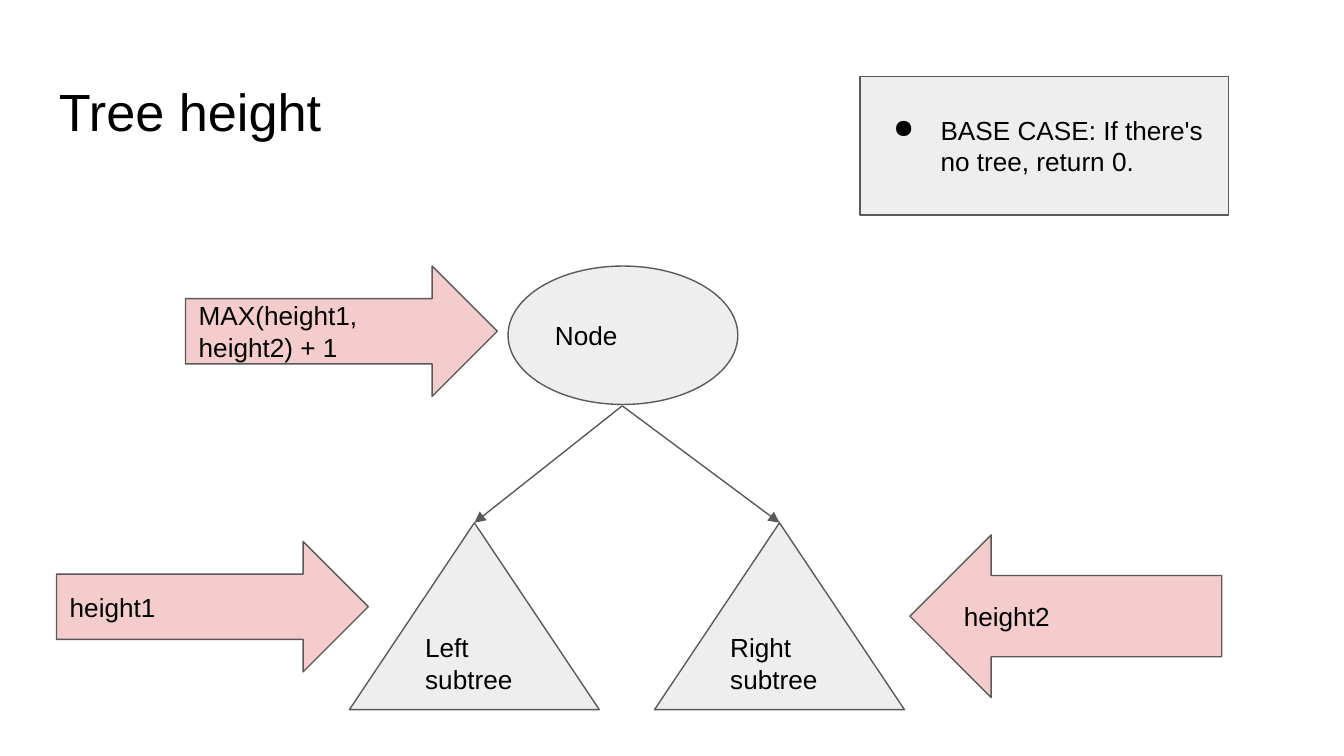
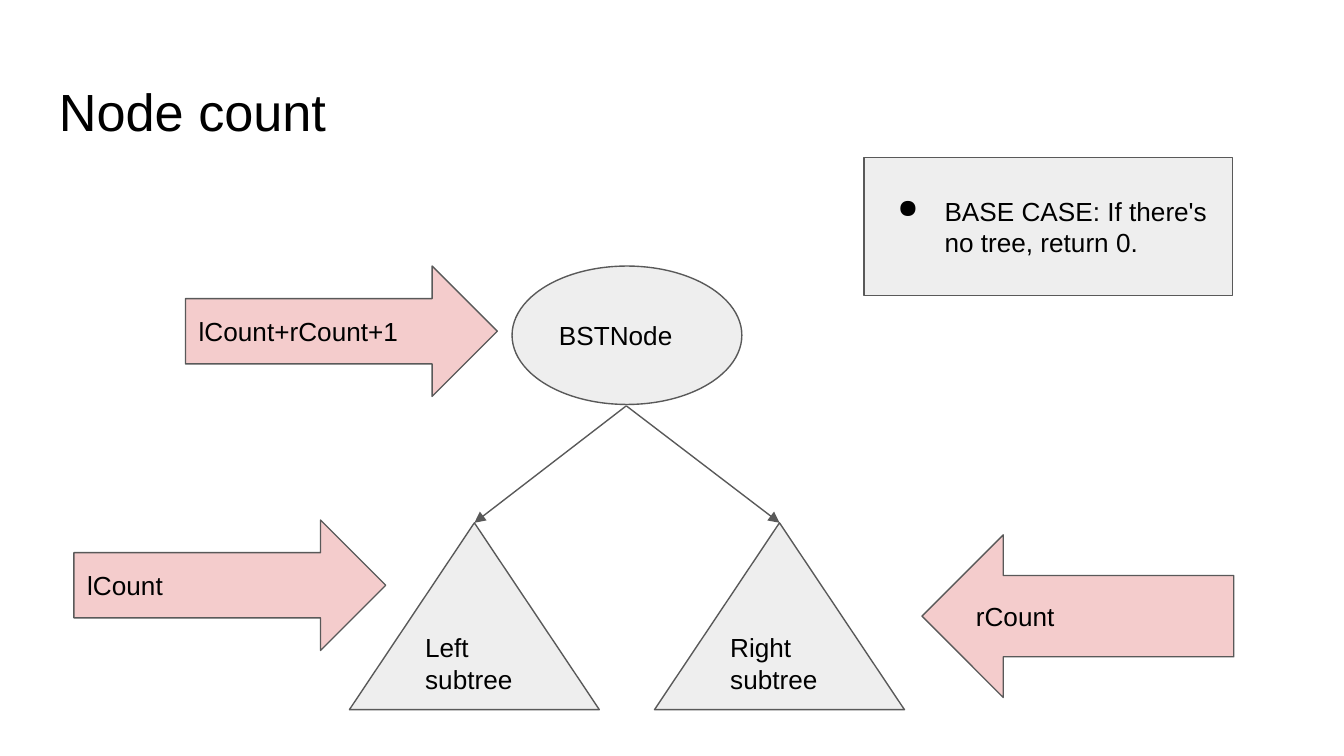
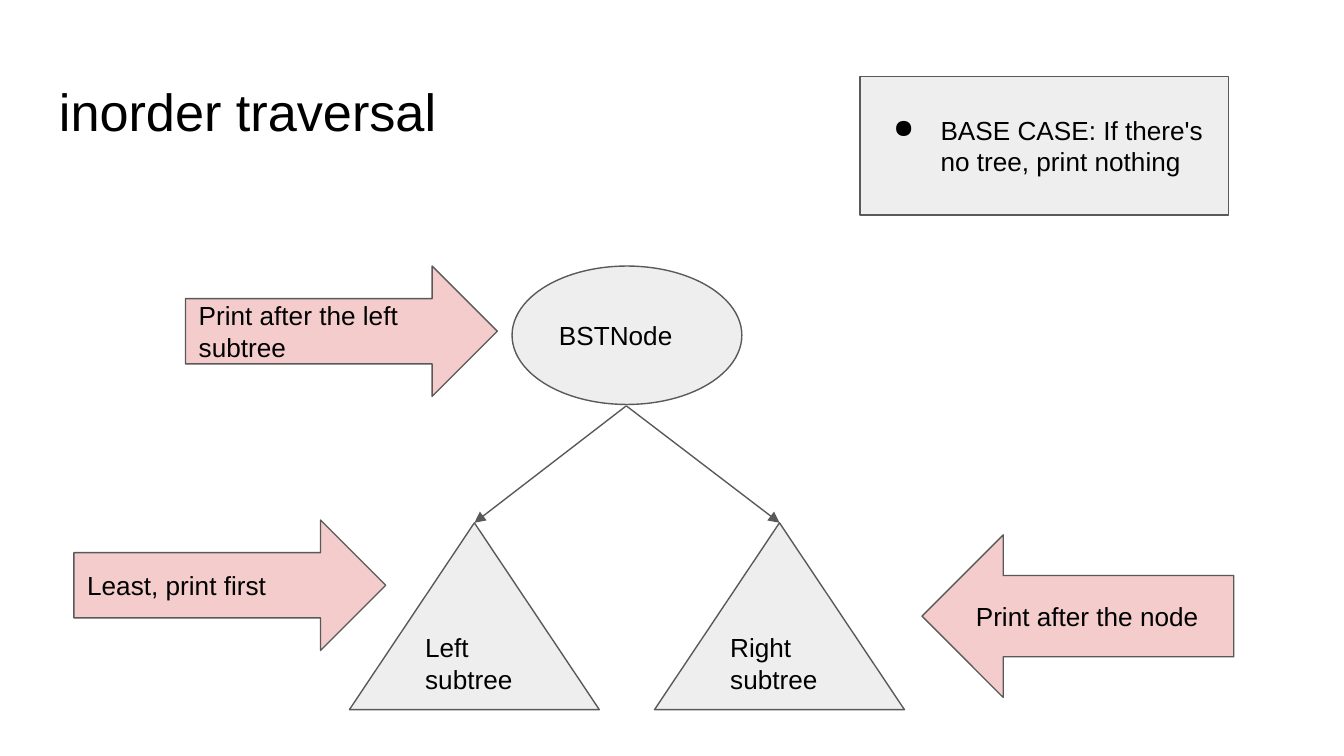
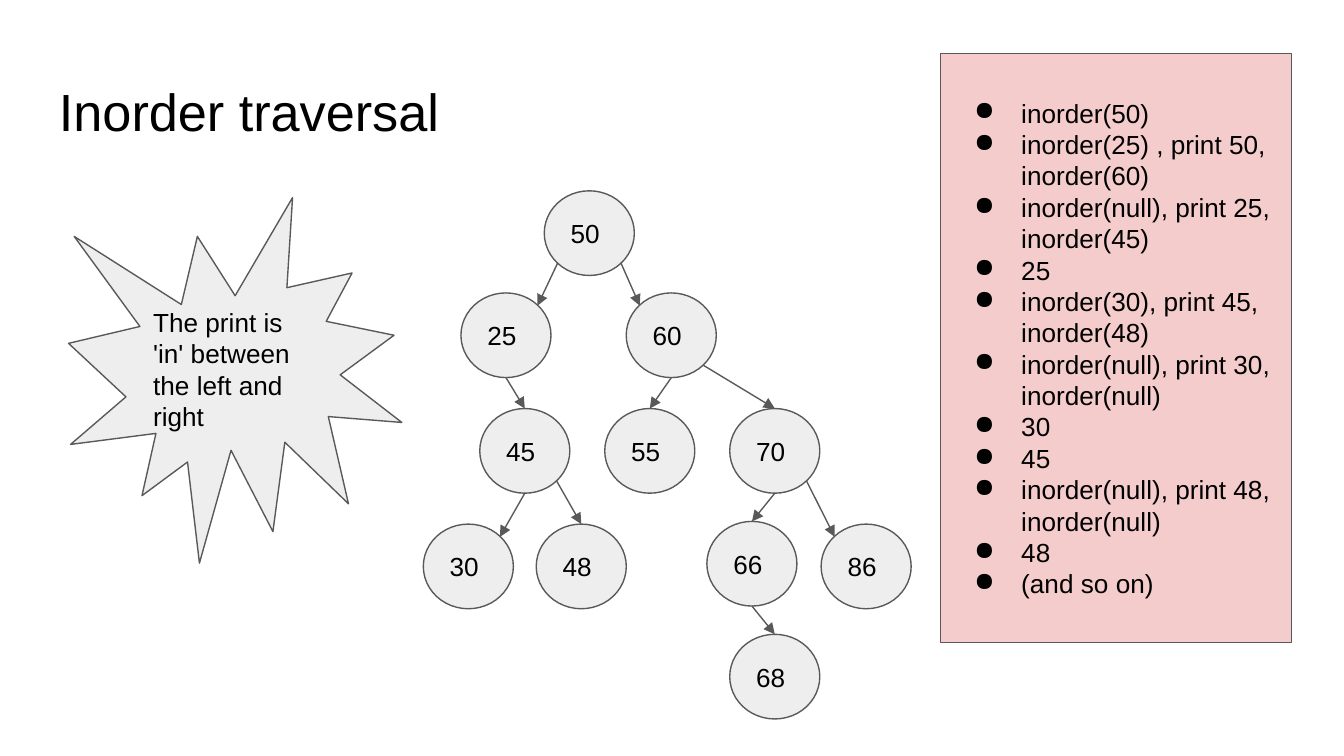
from lxml.etree import SubElement
from pptx import Presentation
from pptx.dml.color import RGBColor
from pptx.enum.shapes import MSO_CONNECTOR, MSO_SHAPE as Kind
from pptx.enum.text import MSO_ANCHOR, PP_ALIGN
from pptx.oxml.ns import qn
from pptx.util import Inches, Pt

FONT = "Arial"
BLACK = RGBColor(0x00, 0x00, 0x00)
GRAY = RGBColor(0xEE, 0xEE, 0xEE)
PINK = RGBColor(0xF4, 0xCC, 0xCC)
EDGE = RGBColor(0x59, 0x59, 0x59)
TITLE = (0.34, 0.49, 9.32, 0.63)


def put(slide, text, at, kind=None, fill=GRAY, size=14, bullet=False):
    """Add a shape, or a plain text box without a kind; one paragraph a line."""
    at = [Inches(n) for n in at]
    if kind is None:
        shape = slide.shapes.add_textbox(*at)
    else:
        shape = slide.shapes.add_shape(kind, *at)
        shape.shadow.inherit = False
        shape.fill.solid()
        shape.fill.fore_color.rgb = fill
        shape.line.color.rgb = EDGE
        shape.line.width = Pt(0.75)
    frame = shape.text_frame
    frame.word_wrap = True
    frame.vertical_anchor = MSO_ANCHOR.MIDDLE if kind else MSO_ANCHOR.TOP
    frame.margin_left = frame.margin_right = Inches(0.1)
    frame.margin_top = frame.margin_bottom = Inches(0.1)
    frame.text = text
    for para in frame.paragraphs:
        para.alignment = PP_ALIGN.LEFT
        para.font.name = FONT
        para.font.size = Pt(size)
        para.font.color.rgb = BLACK
        if bullet:
            props = para._p.get_or_add_pPr()
            props.set("marL", str(Inches(0.5)))
            props.set("indent", str(Inches(-0.35)))
            mark = props.makeelement(qn("a:buChar"), {"char": "●"})
            props.insert_element_before(mark, "a:tabLst", "a:defRPr", "a:extLst")
    return shape


def link(slide, start, end, child=None):
    """Draw an arrow; with a child given, join its head to the child's top."""
    points = [Inches(n) for n in (*start, *end)]
    line = slide.shapes.add_connector(MSO_CONNECTOR.STRAIGHT, *points)
    if child is not None:
        line.end_connect(child, 0)
    line.line.color.rgb = EDGE
    line.line.width = Pt(0.75)
    SubElement(line.line._get_or_add_ln(), qn("a:tailEnd"), type="triangle")
    SubElement(line._element.spPr, qn("a:effectLst"))


deck = Presentation()
deck.slide_width = Inches(10)
deck.slide_height = Inches(5.625)
blank = deck.slide_layouts[6]

# Recursion slides: title, node, base case, then the node, left and right results
# with the places that vary: node x, base case, left arrow, right arrow x.
CASES = [
    ("Tree height", "Node", "return 0.",
     "MAX(height1, height2) + 1", "height1", "height2",
     3.78, (6.4, 0.57), (0.42, 4.03), 6.77),
    ("Node count", "BSTNode", "return 0.",
     "lCount+rCount+1", "lCount", "rCount",
     3.81, (6.43, 1.17), (0.55, 3.87), 6.86),
    ("inorder traversal", "BSTNode", "print nothing",
     "Print after the left subtree", "Least, print first", "Print after the node",
     3.81, (6.4, 0.57), (0.55, 3.87), 6.86),
]
for title, node, base, top, left, right, x, box, low, far in CASES:
    slide = deck.slides.add_slide(blank)
    put(slide, title, TITLE, size=28)
    put(slide, node, (x, 1.98, 1.71, 1.03), Kind.OVAL)
    for side, tip in (("Left", 3.53), ("Right", 5.8)):
        tree = put(slide, f"{side} subtree", (tip - 0.93, 3.89, 1.86, 1.39),
                   Kind.ISOSCELES_TRIANGLE)
        link(slide, (x + 0.85, 3.02), (tip, 3.89), tree)
    put(slide, f"BASE CASE: If there's no tree, {base}", (*box, 2.74, 1.03),
        Kind.RECTANGLE, bullet=True)
    put(slide, left, (*low, 2.32, 0.97), Kind.RIGHT_ARROW, PINK)
    put(slide, top, (1.38, 1.98, 2.32, 0.97), Kind.RIGHT_ARROW, PINK)
    put(slide, right, (far, 3.98, 2.32, 1.21), Kind.LEFT_ARROW, PINK)

# Worked example
WIDE, HIGH = 0.67, 0.63
NODES = {
    50: (4.05, 1.42), 25: (3.43, 2.18), 60: (4.66, 2.18), 55: (4.5, 3.04),
    70: (5.43, 3.04), 45: (3.57, 3.04), 30: (3.15, 3.9), 48: (3.99, 3.9),
    66: (5.26, 3.88), 86: (6.11, 3.9), 68: (5.43, 4.72),
}
# Points on a node's rim, as shares of its width and height
RIM = {
    "top": (0.5, 0), "base": (0.5, 1), "nw": (0.15, 0.15),
    "ne": (0.85, 0.15), "sw": (0.15, 0.85), "se": (0.85, 0.85),
}
LINKS = [
    (50, "sw", 25, "ne"), (50, "se", 60, "nw"), (25, "base", 45, "top"),
    (60, "base", 55, "top"), (60, "se", 70, "top"), (45, "base", 30, "ne"),
    (45, "se", 48, "top"), (70, "base", 66, "top"), (70, "se", 86, "nw"),
    (66, "base", 68, "top"),
]
STEPS = [
    "inorder(50)",
    "inorder(25) , print 50, inorder(60)",
    "inorder(null), print 25, inorder(45)",
    "25",
    "inorder(30), print 45, inorder(48)",
    "inorder(null), print 30, inorder(null)",
    "30",
    "45",
    "inorder(null), print 48, inorder(null)",
    "48",
    "(and so on)",
]
slide = deck.slides.add_slide(blank)
put(slide, "Inorder traversal", TITLE, size=28)
discs = {key: put(slide, str(key), (*spot, WIDE, HIGH), Kind.OVAL)
         for key, spot in NODES.items()}
for head, out, child, into in LINKS:
    start, end = [
        (NODES[key][0] + RIM[rim][0] * WIDE, NODES[key][1] + RIM[rim][1] * HIGH)
        for key, rim in ((head, out), (child, into))
    ]
    link(slide, start, end, discs[child] if into == "top" else None)
put(slide, "\n".join(STEPS), (7, 0.4, 2.61, 4.38), Kind.RECTANGLE, PINK, bullet=True)
put(slide, "The print is 'in' between the left and right", (0.51, 1.47, 2.48, 2.72),
    Kind.EXPLOSION1)

deck.save("out.pptx")
